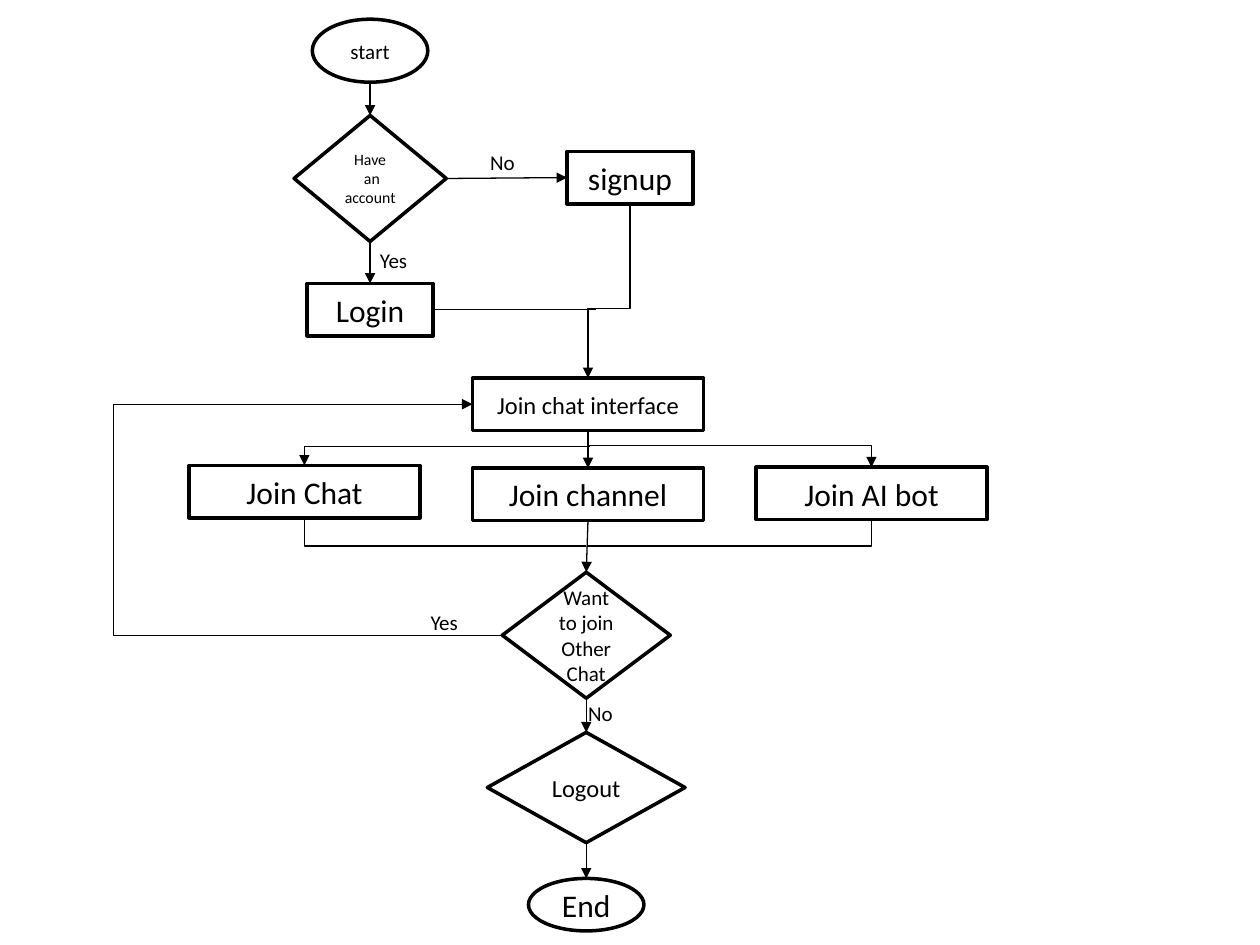
"""Build a flowchart slide of joining, using and leaving a chat service."""
import pptx
import pptx.dml.color
import pptx.enum.shapes
import pptx.enum.text
import pptx.oxml.ns
import pptx.oxml.xmlchemy
import pptx.util
from lxml import etree

Pt = pptx.util.Pt
qn = pptx.oxml.ns.qn
MSO = pptx.enum.shapes.MSO_SHAPE
CONN = pptx.enum.shapes.MSO_CONNECTOR
BLACK = pptx.dml.color.RGBColor(0, 0, 0)
WHITE = pptx.dml.color.RGBColor(255, 255, 255)

prs = pptx.Presentation()
prs.slide_width, prs.slide_height = Pt(720), Pt(540)
s = prs.slides.add_slide(prs.slide_layouts[6])


def set_text(tf, text, size, align):
    tf.text = text
    for p in tf.paragraphs:
        p.alignment = align
        for r in p.runs:
            r.font.name = "Calibri"
            r.font.size = Pt(size)
            r.font.color.rgb = BLACK


def add_line(kind, x1, y1, x2, y2, arrow=True):
    c = s.shapes.add_connector(kind, Pt(x1), Pt(y1), Pt(x2), Pt(y2))
    c.line.color.rgb = BLACK
    c.line.width = Pt(0.75)
    if arrow:
        etree.SubElement(c.line._get_or_add_ln(), qn("a:tailEnd"), type="triangle")
    etree.SubElement(c._element.spPr, qn("a:effectLst"))
    return c


steps = [
    ("start", MSO.OVAL, 178.5, 11, 66, 36, "start", 12),
    ("account", MSO.DIAMOND, 168, 66, 87, 72, "Have\n an account", 9),
    ("login", MSO.RECTANGLE, 175.5, 162, 72, 30, "Login", 18),
    ("signup", MSO.RECTANGLE, 324, 86.5, 72, 30, "signup", 18),
    ("interface", MSO.RECTANGLE, 270, 216, 132, 30, "Join chat interface", 14),
    ("chat", MSO.RECTANGLE, 108, 266, 132, 30, "Join Chat", 18),
    ("channel", MSO.RECTANGLE, 270, 267.5, 132, 30, "Join channel", 18),
    ("bot", MSO.RECTANGLE, 432, 267, 132, 30, "Join AI bot", 18),
    ("other", MSO.DIAMOND, 287, 327, 96, 72, "Want to join Other Chat", 12),
    ("logout", MSO.DIAMOND, 278.5, 418.5, 113, 63, "Logout", 14),
    ("end", MSO.OVAL, 302, 502, 66, 30, "End", 18),
]
shapes = {}
for name, kind, x, y, w, h, text, size in steps:
    sp = s.shapes.add_shape(kind, Pt(x), Pt(y), Pt(w), Pt(h))
    sp.shadow.inherit = False
    sp.fill.solid()
    sp.fill.fore_color.rgb = WHITE
    sp.line.color.rgb = BLACK
    sp.line.width = Pt(2)
    set_text(sp.text_frame, text, size, pptx.enum.text.PP_ALIGN.CENTER)
    shapes[name] = sp

links = [
    ("account", 3, "signup", 1),
    ("account", 2, "login", 0),
    ("interface", 2, "channel", 0),
    ("channel", 2, "other", 0),
    ("other", 2, "logout", 0),
    ("logout", 2, "end", 0),
]
for source, out_side, target, in_side in links:
    c = add_line(CONN.STRAIGHT, 0, 0, 0, 0)
    c.begin_connect(shapes[source], out_side)
    c.end_connect(shapes[target], in_side)
add_line(CONN.STRAIGHT, 211.5, 47, 211.5, 66).end_connect(shapes["account"], 0)
add_line(CONN.STRAIGHT, 247.5, 177, 340.5, 177, False).begin_connect(shapes["login"], 3)

elbows = [
    (360, 116.5, 336, 216, True, 60300, True),
    (287, 363, 270, 231, False, 1284800 * 17.28 / 17, True),
    (337, 255, 174, 266, False, None, True),
    (336, 254.5, 498, 267, False, None, True),
    (174, 296, 335, 312, True, None, False),
    (498, 297, 336, 312, True, None, False),
]
for x1, y1, x2, y2, down_first, bend, arrow in elbows:
    if down_first:
        cx, cy, dx, dy = (x1 + x2) / 2, (y1 + y2) / 2, x2 - x1, y2 - y1
        x1, y1, x2, y2 = cx - dy / 2, cy + dx / 2, cx + dy / 2, cy - dx / 2
    c = add_line(CONN.ELBOW, x1, y1, x2, y2, arrow)
    if down_first:
        c._element.spPr.find(qn("a:xfrm")).set("rot", str(90 * 60000))
    geom = c._element.spPr.find(qn("a:prstGeom"))
    if bend is None:
        geom.set("prst", "bentConnector2")
    else:
        etree.SubElement(geom.find(qn("a:avLst")), qn("a:gd"),
                         name="adj1", fmla=f"val {round(bend)}")

labels = [
    ("Yes", 210, 138, 30.5),
    ("No", 273, 82, 28.5),
    ("Yes", 239, 345, 30.5),
    ("No", 329, 397, 28.5),
]
for text, x, y, w in labels:
    sp = s.shapes.add_textbox(Pt(x), Pt(y), Pt(w), Pt(21.8))
    tf = sp.text_frame
    set_text(tf, text, 12, pptx.enum.text.PP_ALIGN.LEFT)
    tf.word_wrap = False
    tf.auto_size = pptx.enum.text.MSO_AUTO_SIZE.SHAPE_TO_FIT_TEXT

prs.save("out.pptx")
